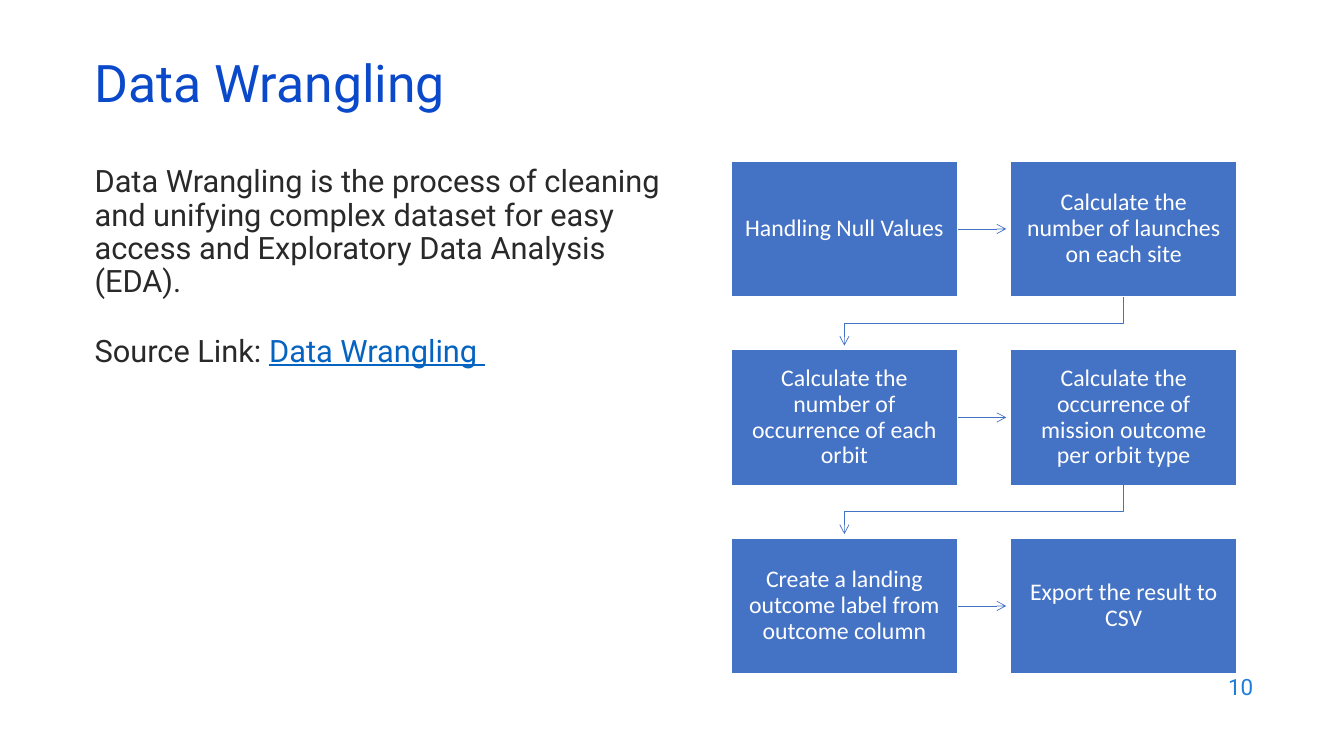
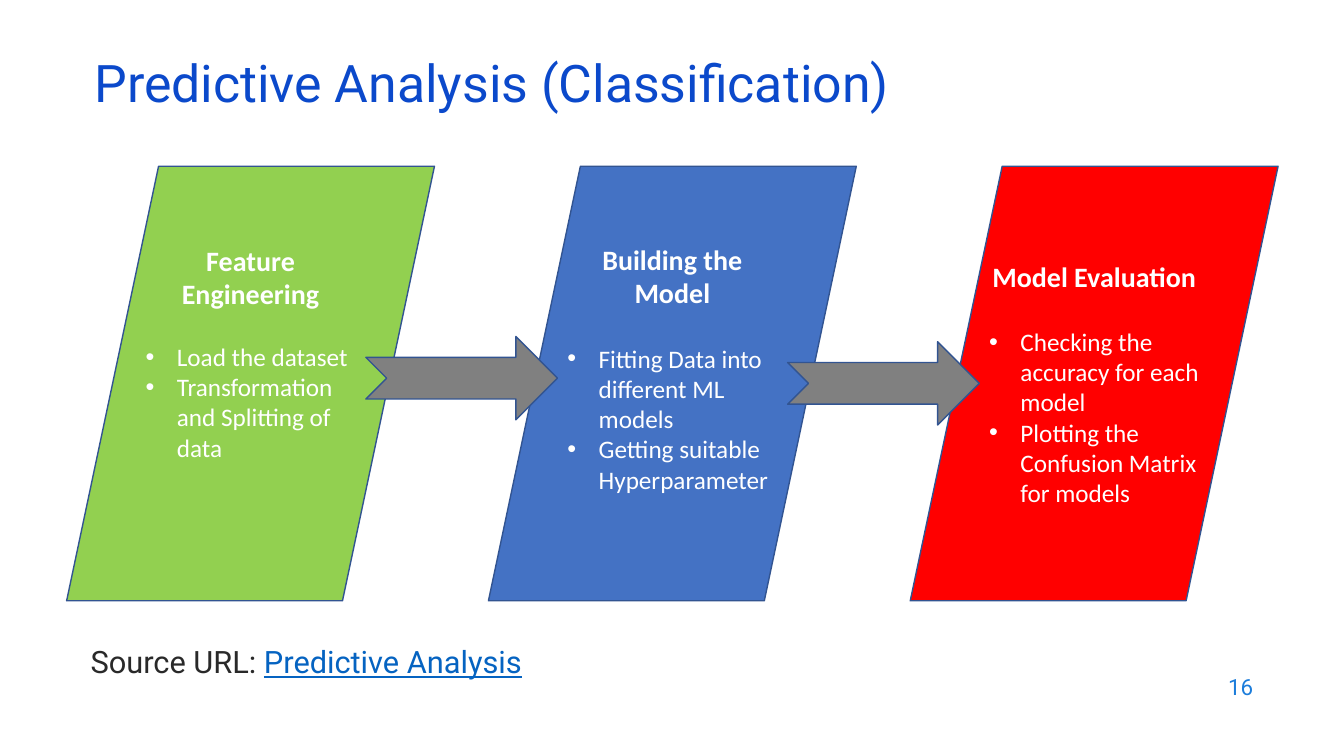
import dataclasses

import lxml.etree
import pptx
import pptx.dml.color
import pptx.enum.shapes
import pptx.enum.text
import pptx.oxml
import pptx.oxml.ns
import pptx.util

Cm = pptx.util.Cm
Pt = pptx.util.Pt
RGB = pptx.dml.color.RGBColor.from_string
qn = pptx.oxml.ns.qn
SHAPE = pptx.enum.shapes.MSO_SHAPE
ALIGN = pptx.enum.text.PP_ALIGN
MIDDLE = pptx.enum.text.MSO_ANCHOR.MIDDLE


@dataclasses.dataclass(frozen=True)
class Theme:
    heading_font: str = "Roboto"
    diagram_font: str = "Calibri"
    title: RGB = RGB("0B49CB")
    text: RGB = RGB("292929")
    link: RGB = RGB("0563C1")
    number: RGB = RGB("1C7DDB")
    blue: RGB = RGB("4472C4")
    outline: RGB = RGB("325491")
    green: RGB = RGB("92D050")
    red: RGB = RGB("FF0000")
    grey: RGB = RGB("808080")
    white: RGB = RGB("FFFFFF")
    title_size: Pt = Pt(37)
    body_size: Pt = Pt(22)
    panel_title_size: Pt = Pt(20)
    panel_size: Pt = Pt(18)
    step_size: Pt = Pt(17)
    number_size: Pt = Pt(16)


theme = Theme()


def style(paragraph, font, size, color, bold=False, align=ALIGN.LEFT, spacing=1.0):
    paragraph.alignment = align
    paragraph.line_spacing = spacing
    paragraph.font.name = font
    paragraph.font.size = size
    paragraph.font.color.rgb = color
    paragraph.font.bold = bold


def paint(shape, fill, line):
    shape.shadow.inherit = False
    shape.fill.solid()
    shape.fill.fore_color.rgb = fill
    shape.line.color.rgb = line
    shape.line.width = Pt(1)


deck = pptx.Presentation()
deck.slide_width = Cm(33.87)
deck.slide_height = Cm(19.05)
layout = deck.slide_layouts[1]
heading = layout.placeholders[0]
heading.left, heading.top, heading.width, heading.height = Cm(2.13), Cm(1.5), Cm(29.2), Cm(1.52)

pages = [
    ("Data Wrangling", "10", (2.13, 4.06, 15.37, 12.65),
     ["Data Wrangling is the process of cleaning and unifying complex dataset "
      "for easy access and Exploratory Data Analysis (EDA)."],
     "Source Link: ", "Data Wrangling "),
    ("Predictive Analysis (Classification)", "16", (2.03, 16.18, 27.08, 1.12),
     [], "Source URL: ", "Predictive Analysis"),
]
slides = []
for title, number, body_box, intro, label, link in pages:
    slide = deck.slides.add_slide(layout)
    slides.append(slide)

    title_frame = slide.shapes.title.text_frame
    title_frame.text = title
    title_frame.auto_size = pptx.enum.text.MSO_AUTO_SIZE.NONE
    title_frame.vertical_anchor = MIDDLE
    style(title_frame.paragraphs[0], theme.heading_font, theme.title_size, theme.title, spacing=0.7)

    body = slide.placeholders[1]
    body.left, body.top, body.width, body.height = map(Cm, body_box)
    body_frame = body.text_frame
    body_frame.text = "\n".join(intro + [label])
    body_frame.auto_size = pptx.enum.text.MSO_AUTO_SIZE.NONE
    link_run = body_frame.paragraphs[-1].add_run()
    link_run.text = link
    link_run.font.color.rgb = theme.link
    link_run.font.underline = True
    for index, paragraph in enumerate(body_frame.paragraphs):
        properties = paragraph._p.get_or_add_pPr()
        properties.set("marL", "0")
        properties.set("indent", "0")
        lxml.etree.SubElement(properties, qn("a:buNone"))
        paragraph.space_before = Pt(26 if index else 0)
        style(paragraph, theme.heading_font, theme.body_size, theme.text, spacing=0.9)

    number_box = slide.shapes.add_textbox(Cm(24.21), Cm(16.74), Cm(7.62), Cm(1.12))
    number_box.text_frame.word_wrap = True
    number_box.text_frame.vertical_anchor = MIDDLE
    number_box.text_frame.text = number
    style(number_box.text_frame.paragraphs[0], theme.heading_font, theme.number_size,
          theme.number, align=ALIGN.RIGHT)

wrangling, prediction = slides

steps = [
    "Handling Null Values",
    "Calculate the number of launches on each site",
    "Calculate the number of occurrence of each orbit",
    "Calculate the occurrence of mission outcome per orbit type",
    "Create a landing outcome label from outcome column",
    "Export the result to CSV",
]
step_width, step_height = Cm(5.72), Cm(3.42)
column_pitch, row_pitch = Cm(7.04), Cm(4.75)
flow_left, flow_top = Cm(18.42), Cm(4.06)
arrow_clearance = Cm(0.1)
step_boxes = []
for index, step in enumerate(steps):
    row, column = divmod(index, 2)
    box = wrangling.shapes.add_shape(
        SHAPE.RECTANGLE, flow_left + column * column_pitch, flow_top + row * row_pitch,
        step_width, step_height)
    paint(box, theme.blue, theme.white)
    frame = box.text_frame
    frame.word_wrap = True
    frame.vertical_anchor = MIDDLE
    frame.margin_left = frame.margin_right = frame.margin_top = frame.margin_bottom = Cm(0.33)
    frame.text = step
    style(frame.paragraphs[0], theme.diagram_font, theme.step_size, theme.white,
          align=ALIGN.CENTER, spacing=0.9)
    step_boxes.append(box)

for index, (start, target) in enumerate(zip(step_boxes, step_boxes[1:])):
    if index % 2 == 0:
        middle = start.top + step_height // 2
        arrow = wrangling.shapes.add_connector(
            pptx.enum.shapes.MSO_CONNECTOR.STRAIGHT,
            start.left + step_width, middle, target.left - arrow_clearance, middle)
        arrow.begin_connect(start, 3)
        lxml.etree.SubElement(arrow._element.spPr, qn("a:effectLst"))
    else:
        start_x = start.left + step_width // 2
        target_x = target.left + step_width // 2
        bottom = start.top + step_height
        turn = (bottom + target.top) // 2
        builder = wrangling.shapes.build_freeform(start_x, bottom)
        builder.add_line_segments(
            [(start_x, turn), (target_x, turn), (target_x, target.top - arrow_clearance)],
            close=False)
        arrow = builder.convert_to_shape()
        arrow.shadow.inherit = False
        arrow.fill.background()
    arrow.line.color.rgb = theme.blue
    arrow.line.width = Pt(0.5)
    lxml.etree.SubElement(arrow.line._get_or_add_ln(), qn("a:tailEnd"), type="arrow")

panels = [
    (theme.green, "Feature Engineering", 22, 1.68,
     ["Load the dataset", "Transformation and Splitting of data"]),
    (theme.blue, "Building the Model", 24, 0.9,
     ["Fitting Data into different ML models", "Getting suitable Hyperparameter"]),
    (theme.red, "Model Evaluation", 24, 0.13,
     ["Checking the accuracy for each model", "Plotting the Confusion Matrix for models"]),
]
panel_pitch = Cm(10.63)
for index, (fill, stage, gap, bottom_margin, tasks) in enumerate(panels):
    panel = prediction.shapes.add_shape(
        SHAPE.PARALLELOGRAM, Cm(1.68) + index * panel_pitch, Cm(4.19), Cm(9.27), Cm(10.95))
    paint(panel, fill, theme.outline)
    frame = panel.text_frame
    frame.word_wrap = True
    frame.vertical_anchor = MIDDLE
    frame.margin_bottom = Cm(bottom_margin)
    frame.text = "\n".join([stage] + tasks)
    style(frame.paragraphs[0], theme.diagram_font, theme.panel_title_size, theme.white,
          bold=True, align=ALIGN.CENTER)
    for paragraph in frame.paragraphs[1:]:
        properties = paragraph._p.get_or_add_pPr()
        properties.set("marL", str(Cm(0.79)))
        properties.set("indent", str(-Cm(0.79)))
        lxml.etree.SubElement(properties, qn("a:buFont"), typeface="Arial")
        lxml.etree.SubElement(properties, qn("a:buChar"), char="•")
        style(paragraph, theme.diagram_font, theme.panel_size, theme.white)
    frame.paragraphs[1].space_before = Pt(gap)

for index, arrow_top in enumerate([8.48, 8.61]):
    stage_arrow = prediction.shapes.add_shape(
        SHAPE.NOTCHED_RIGHT_ARROW, Cm(9.22) + index * panel_pitch, Cm(arrow_top),
        Cm(4.83), Cm(2.1))
    paint(stage_arrow, theme.grey, theme.outline)

deck.save("out.pptx")
